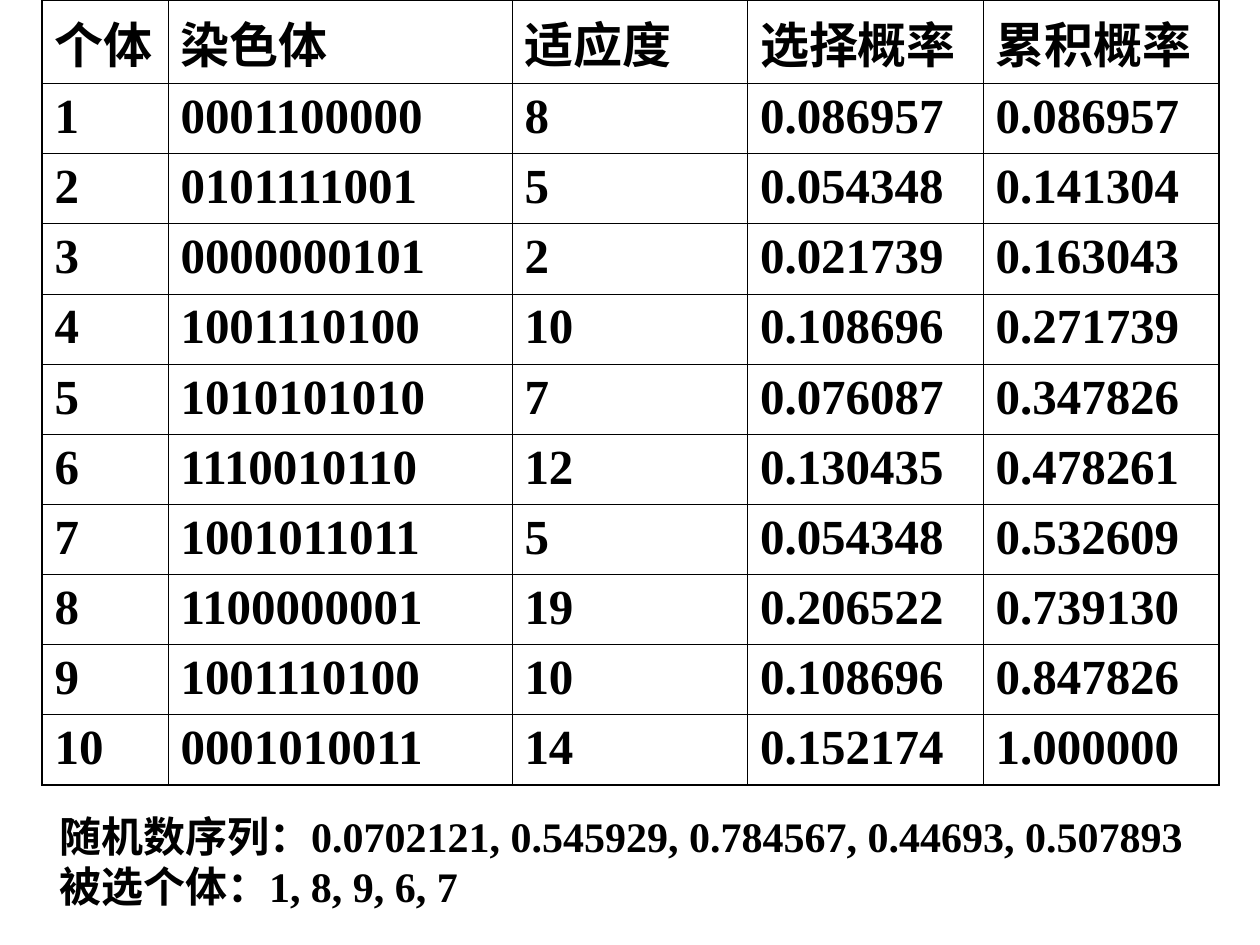
import dataclasses
import typing

import pptx
import pptx.dml.color
import pptx.enum.text
import pptx.oxml
import pptx.oxml.ns
import pptx.util


@dataclasses.dataclass(frozen=True)
class Theme:
    ink: str = "000000"
    face: str = "Times New Roman"
    cell: float = 28
    note: float = 24
    thin: float = 0.45
    thick: float = 1.08


class Box(typing.NamedTuple):
    left: float
    top: float
    width: float
    height: float


class Entry(typing.NamedTuple):
    label: str
    genes: str
    score: str
    chance: str
    total: str


THEME = Theme()
WIDE, HIGH = pptx.util.Inches(10), pptx.util.Inches(7.5)
COLS = (1, 2.73, 1.87, 1.87, 1.87)
HEAD, TALL = 0.66, 6.23
GRID = Box(3.33, 0, 93.3, 83.07)
NOTE = Box(3.7, 85.07, 93.5, 12)

ROWS = (
    Entry("个体", "染色体", "适应度", "选择概率", "累积概率"),
    Entry("1", "0001100000", "8", "0.086957", "0.086957"),
    Entry("2", "0101111001", "5", "0.054348", "0.141304"),
    Entry("3", "0000000101", "2", "0.021739", "0.163043"),
    Entry("4", "1001110100", "10", "0.108696", "0.271739"),
    Entry("5", "1010101010", "7", "0.076087", "0.347826"),
    Entry("6", "1110010110", "12", "0.130435", "0.478261"),
    Entry("7", "1001011011", "5", "0.054348", "0.532609"),
    Entry("8", "1100000001", "19", "0.206522", "0.739130"),
    Entry("9", "1001110100", "10", "0.108696", "0.847826"),
    Entry("10", "0001010011", "14", "0.152174", "1.000000"),
)
LINES = (
    "随机数序列：0.0702121, 0.545929, 0.784567, 0.44693, 0.507893",
    "被选个体：1, 8, 9, 6, 7",
)


def place(box: Box) -> tuple[int, int, int, int]:
    return (int(box.left * WIDE / 100), int(box.top * HIGH / 100),
            int(box.width * WIDE / 100), int(box.height * HIGH / 100))


def style(frame: typing.Any, size: float) -> None:
    for para in frame.paragraphs:
        for run in para.runs:
            run.font.name = THEME.face
            run.font.size = pptx.util.Pt(size)
            run.font.bold = True
            run.font.color.rgb = pptx.dml.color.RGBColor.from_string(THEME.ink)


def border(cell: typing.Any, side: str, outer: bool) -> None:
    width = pptx.util.Pt(THEME.thick if outer else THEME.thin)
    cell._tc.get_or_add_tcPr().append(pptx.oxml.parse_xml(
        f'<a:ln{side} {pptx.oxml.ns.nsdecls("a")} w="{width}"><a:solidFill>'
        f'<a:srgbClr val="{THEME.ink}"/></a:solidFill></a:ln{side}>'))


def draw_grid(slide: typing.Any, rows: tuple[Entry, ...], box: Box) -> None:
    table = slide.shapes.add_table(len(rows), len(COLS), *place(box)).table
    table.horz_banding = False
    for col, width in zip(table.columns, COLS):
        col.width = pptx.util.Inches(width)
    step = (TALL - HEAD) / (len(rows) - 1)
    for r, entry in enumerate(rows):
        table.rows[r].height = pptx.util.Inches(step if r else HEAD)
        for c, text in enumerate(entry):
            cell = table.cell(r, c)
            cell.text_frame.text = text
            style(cell.text_frame, THEME.cell)
            border(cell, "L", c == 0)
            border(cell, "R", c == len(COLS) - 1)
            border(cell, "T", r == 0)
            border(cell, "B", r == len(rows) - 1)
            cell.fill.background()


def draw_note(slide: typing.Any, lines: tuple[str, ...], box: Box) -> None:
    frame = slide.shapes.add_textbox(*place(box)).text_frame
    frame.word_wrap = True
    frame.auto_size = pptx.enum.text.MSO_AUTO_SIZE.SHAPE_TO_FIT_TEXT
    frame.text = "\n".join(lines)
    style(frame, THEME.note)


def main() -> None:
    deck = pptx.Presentation()
    deck.slide_width, deck.slide_height = WIDE, HIGH
    slide = deck.slides.add_slide(deck.slide_layouts[6])
    draw_grid(slide, ROWS, GRID)
    draw_note(slide, LINES, NOTE)
    deck.save("out.pptx")


if __name__ == "__main__":
    main()
